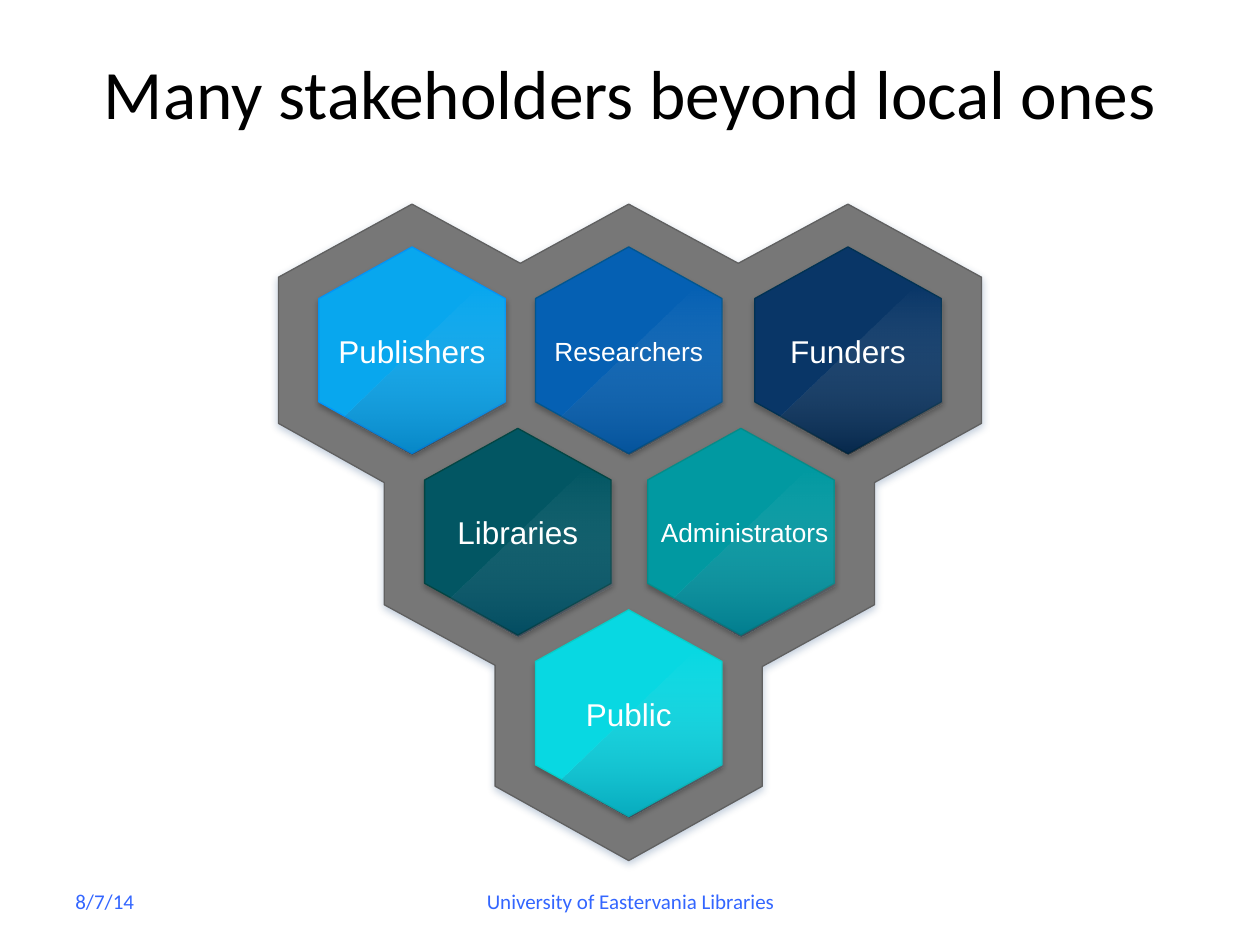
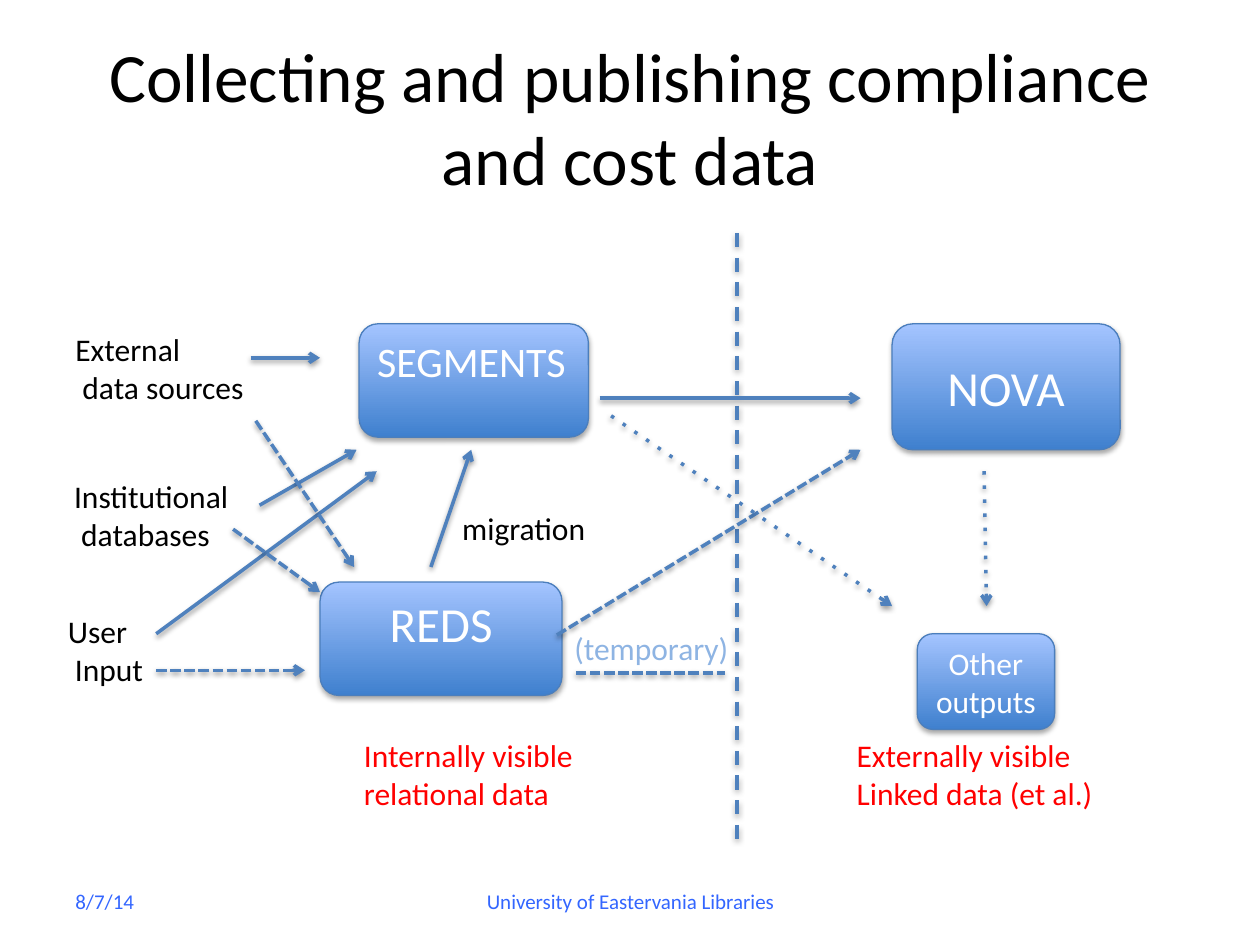
from dataclasses import dataclass

from lxml import etree
from pptx import Presentation
from pptx.dml.color import RGBColor
from pptx.enum.shapes import MSO_CONNECTOR, MSO_SHAPE
from pptx.enum.text import MSO_ANCHOR, MSO_AUTO_SIZE, PP_ALIGN
from pptx.oxml.ns import qn
from pptx.util import Pt

PX = 9144  # 100 px to the inch
TITLE_ONLY = 5
LEFT, MID = PP_ALIGN.LEFT, PP_ALIGN.CENTER
TOP, CENTER = MSO_ANCHOR.TOP, MSO_ANCHOR.MIDDLE
FIXED, GROW = MSO_AUTO_SIZE.NONE, MSO_AUTO_SIZE.SHAPE_TO_FIT_TEXT
ROUND, STRAIGHT = MSO_SHAPE.ROUNDED_RECTANGLE, MSO_CONNECTOR.STRAIGHT


@dataclass(frozen=True)
class Theme:
    # Fonts and type sizes
    font: str = "Calibri"
    sans: str = "Arial"
    title: float = 39.6
    big: int = 28
    head: int = 24
    body: int = 18
    small: int = 15
    foot: int = 12
    # Colours
    ink: str = "000000"
    white: str = "FFFFFF"
    blue: str = "3366FF"
    red: str = "FF0000"
    pale: str = "8EB4E3"
    line: str = "4F81BD"
    edge: str = "4B7EBC"
    comb: str = "777777"
    rim: str = "606060"
    # Gradients: colour and opacity in percent, bottom to top
    box: tuple = (("3F80CE", 100), ("A4C4FF", 100))
    gloss: tuple = (("01315D", 28), ("FFFFFF", 0))
    dim: tuple = (("000C16", 35), ("FFFFFF", 0))
    # Shadows: colour, opacity in percent, blur and distance in points
    cast: tuple = ("1F497D", 27, 4, 2)
    drop: tuple = ("000000", 27, 3, 2)
    lift: tuple = ("000000", 35, 3.1, 1.8)
    trail: tuple = ("000000", 38, 3.1, 1.6)
    glyph: tuple = ("000000", 40, 3, 2)


def rgb(code):
    return RGBColor.from_string(code)


def add(parent, tag, **attrs):
    node = etree.SubElement(parent, qn(tag))
    for key, value in attrs.items():
        node.set(key, str(value))
    return node


def shade(parent, shadow):
    """Add a downward shadow to a set of properties."""
    hue, alpha, blur, dist = shadow
    effects = add(parent, "a:effectLst")
    outer = add(effects, "a:outerShdw", blurRad=int(Pt(blur)), dist=int(Pt(dist)),
                dir=5400000, algn="t", rotWithShape=0)
    color = add(outer, "a:srgbClr", val=hue)
    add(color, "a:alpha", val=alpha * 1000)


class Deck:
    def __init__(self, theme):
        self.theme = theme
        self.prs = Presentation()
        self.prs.slide_width = 1000 * PX
        self.prs.slide_height = 750 * PX
        self.slide = None

    def page(self, title, y):
        """Start a slide with its title and footer."""
        th = self.theme
        self.slide = self.prs.slides.add_slide(self.prs.slide_layouts[TITLE_ONLY])
        head = self.slide.shapes.title
        head.left, head.top, head.width, head.height = (n * PX for n in (50, y, 900, 125))
        self.label(head, [title], th.title, th.ink, MID, CENTER)
        self.text((50, 695, 233, 40), ["8/7/14"], th.foot, th.blue, anchor=CENTER)
        self.text((342, 695, 317, 40), ["University of Eastervania Libraries"],
                  th.foot, th.blue, MID, CENTER)

    def label(self, shape, lines, size, color, align=LEFT, anchor=TOP,
              font=None, shadow=None):
        frame = shape.text_frame
        frame.word_wrap = True
        frame.auto_size = FIXED
        frame.vertical_anchor = anchor
        for i, line in enumerate(lines):
            para = frame.add_paragraph() if i else frame.paragraphs[0]
            para.alignment = align
            run = para.add_run()
            run.text = line
            run.font.size = Pt(size)
            run.font.color.rgb = rgb(color)
            if shadow:
                shade(run.font._element, shadow)
            run.font.name = font or self.theme.font
        return frame

    def text(self, rect, lines, size, color, align=LEFT, anchor=TOP, **style):
        shape = self.slide.shapes.add_textbox(*(n * PX for n in rect))
        return self.label(shape, lines, size, color, align, anchor, **style)

    def note(self, rect, lines, color):
        """Add a text box that fits its lines without wrapping."""
        frame = self.text(rect, lines, self.theme.body, color)
        frame.word_wrap = False
        frame.auto_size = GROW

    def paint(self, shape, fill, edge=None, shadow=None):
        """Fill with one colour or a gradient, then set outline and shadow."""
        props = shape._element.spPr
        if isinstance(fill, str):
            shape.fill.solid()
            shape.fill.fore_color.rgb = rgb(fill)
        else:
            shape.fill.gradient()
            shape.fill.gradient_angle = 90
            for stop, (hue, _) in zip(shape.fill.gradient_stops, fill):
                stop.color.rgb = rgb(hue)
            for color, (_, alpha) in zip(props.iter(qn("a:srgbClr")), fill):
                add(color, "a:alpha", val=alpha * 1000)
        if edge:
            shape.line.color.rgb = rgb(edge)
            shape.line.width = Pt(0.75)
        else:
            shape.line.fill.background()
        if shadow:
            shade(props, shadow)
        else:
            shape.shadow.inherit = False

    def form(self, points, fill, edge=None, shadow=None):
        start, *rest = points
        pen = self.slide.shapes.build_freeform(*start, scale=PX)
        pen.add_line_segments(rest, close=True)
        self.paint(pen.convert_to_shape(), fill, edge, shadow)

    def box(self, rect, lines, size, align=MID, anchor=CENTER):
        th = self.theme
        shape = self.slide.shapes.add_shape(ROUND, *(n * PX for n in rect))
        self.paint(shape, th.box, th.edge, th.lift)
        self.label(shape, lines, size, th.white, align, anchor)

    def line(self, ends, dash="solid", arrow=True):
        th = self.theme
        wire = self.slide.shapes.add_connector(STRAIGHT, *(n * PX for n in ends))
        wire.line.color.rgb = rgb(th.line)
        wire.line.width = Pt(2)
        props = wire._element.spPr
        stroke = props.find(qn("a:ln"))
        add(stroke, "a:prstDash", val=dash)
        if arrow:
            add(stroke, "a:tailEnd", type="arrow")
        shade(props, th.trail)


# Outline around all cells
COMB = [(779, 220), (673, 162), (586, 209), (499, 162), (413, 209), (327, 162),
        (221, 220), (221, 336), (305, 383), (305, 480), (393, 528), (393, 624),
        (499, 683), (605, 624), (605, 529), (694, 480), (694, 383), (779, 336)]
# Cell and gloss corners, from the top corner of the cell
CELL = [(0, 0), (74, 41), (74, 123), (0, 164), (-74, 123), (-74, 41)]
GLOSS = [(75, 42), (75, 124), (0, 165), (-54, 135), (54, 31)]


def stakes(deck):
    th = deck.theme
    deck.page("Many stakeholders beyond local ones", 10)
    deck.form(COMB, th.comb, th.rim, th.cast)
    # Column, row, label, size, fill, edge, gloss, label shift
    cells = [
        (327, 0, "Publishers", th.body, "08A7EE", "0195F9", th.gloss, 0),
        (499, 0, "Researchers", th.small, "0560B3", "01568F", th.gloss, 0),
        (673, 0, "Funders", th.body, "093667", "013253", th.dim, 0),
        (588, 1, "Administrators", th.small, "0199A1", "048C89", th.gloss, 3),
        (411, 1, "Libraries", th.body, "025663", "034543", th.gloss, 0),
        (499, 2, "Public", th.body, "08D8E2", "06CEC9", th.gloss, 0),
    ]
    for x, row, label, size, fill, edge, gloss, shift in cells:
        y = 196 + 144 * row
        deck.form([(x + a, y + b) for a, b in CELL], fill, edge, th.drop)
        deck.form([(x + a, y + b) for a, b in GLOSS], gloss)
        deck.text((x - 79 + shift, y + 62, 158, 41), [label], size, th.white,
                  MID, CENTER, font=th.sans, shadow=th.glyph)


def flow(deck):
    th = deck.theme
    deck.page("Collecting and publishing compliance and cost data", 30)

    # Systems
    deck.box((708, 257, 181, 100), ["NOVA"], th.big)
    deck.box((285, 257, 182, 90), ["SEGMENTS"], th.head, LEFT, TOP)
    deck.box((254, 462, 192, 90), ["REDS"], th.big, MID, TOP)
    deck.box((728, 503, 109, 76), ["Other", "outputs"], th.body)

    # Divider and key
    deck.line((585, 185, 585, 673), "dash", False)
    deck.line((457, 534, 575, 534), "sysDash", False)
    deck.text((446, 494, 144, 40), ["(temporary)"], th.body, th.pale)

    # Arrows by dash
    routes = {
        "solid": [(476, 316, 683, 316), (342, 450, 374, 357), (199, 284, 254, 284),
                  (206, 401, 283, 357), (124, 503, 299, 374)],
        "sysDash": [(442, 504, 683, 357), (203, 334, 281, 450),
                    (185, 420, 254, 470), (124, 532, 242, 532)],
        "dot": [(485, 330, 708, 481), (781, 374, 783, 481)],
    }
    for dash, paths in routes.items():
        for ends in paths:
            deck.line(ends, dash)

    # Sources and captions
    deck.note((50, 257, 156, 71), ["External", " data sources"], th.ink)
    deck.note((49, 374, 150, 71), ["Institutional", " databases"], th.ink)
    deck.note((44, 481, 81, 71), ["User", " Input"], th.ink)
    deck.note((357, 399, 120, 40), ["migration"], th.ink)
    deck.note((279, 579, 188, 71), ["Internally visible", "relational data"], th.red)
    deck.note((670, 579, 211, 71), ["Externally visible", "Linked data (et al.)"], th.red)


def main():
    deck = Deck(Theme())
    stakes(deck)
    flow(deck)
    deck.prs.save("out.pptx")


if __name__ == "__main__":
    main()
